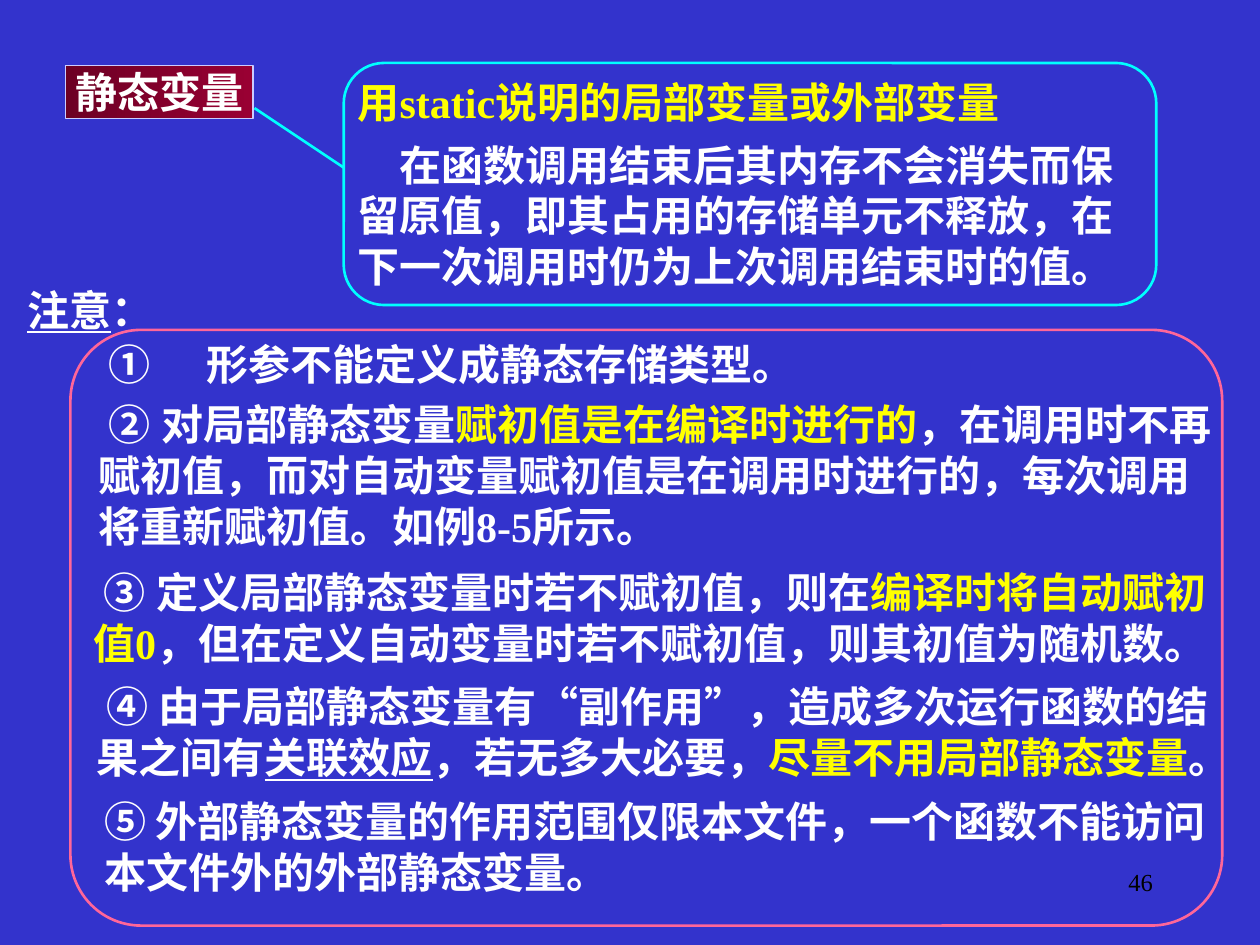
from dataclasses import dataclass

from lxml.etree import SubElement
from pptx import Presentation
from pptx.dml.color import RGBColor
from pptx.enum.shapes import MSO_CONNECTOR as CONN, MSO_SHAPE as SHAPE
from pptx.enum.text import MSO_ANCHOR as ANCHOR, PP_ALIGN as ALIGN
from pptx.oxml.ns import qn
from pptx.util import Cm, Pt

WHITE, YELLOW, CYAN, PINK = "FFFFFF", "FFFF00", "00FFFF", "FF6699"
LATIN, HAN = "Times New Roman", "Noto Sans CJK SC"


@dataclass
class Run:
    text: str
    color: str = WHITE
    underline: bool = False


@dataclass
class Para:
    runs: list[Run]
    indent: float = 0
    tab: float = 0
    before: float = 0


@dataclass
class Note:
    left: float
    top: float
    width: float
    height: float
    paras: list[Para]


def rgb(value: str) -> RGBColor:
    return RGBColor.from_string(value)


def set_font(r, size: float, color: str, bold: bool = True) -> None:
    f = r.font
    f.size, f.bold, f.name = Pt(size), bold, LATIN
    f.color.rgb = rgb(color)
    SubElement(r._r.get_or_add_rPr(), qn("a:ea"), typeface=HAN)


def fill_para(p, para: Para) -> None:
    pPr = p._p.get_or_add_pPr()
    pPr.set("indent", str(Cm(para.indent)))
    if para.tab:
        tabs = SubElement(pPr, qn("a:tabLst"))
        SubElement(tabs, qn("a:tab"), pos=str(Cm(para.tab)), algn="l")
    p.line_spacing = Pt(29)
    if para.before:
        p.space_before = Pt(para.before)
    for run in para.runs:
        r = p.add_run()
        r.text = run.text
        set_font(r, 24, run.color)
        if run.underline:
            r.font.underline = True


def add_note(s, note: Note) -> None:
    sp = s.shapes.add_textbox(Cm(note.left), Cm(note.top), Cm(note.width), Cm(note.height))
    tf = sp.text_frame
    tf.word_wrap = True
    tf.margin_top, tf.margin_right = Cm(0.18), Cm(0.13)
    for i, para in enumerate(note.paras):
        fill_para(tf.add_paragraph() if i else tf.paragraphs[0], para)


def add_frame(s, left: float, top: float, width: float, height: float,
              radius: float, color: str) -> None:
    sp = s.shapes.add_shape(SHAPE.ROUNDED_RECTANGLE, Cm(left), Cm(top), Cm(width), Cm(height))
    sp.adjustments[0] = radius
    sp.shadow.inherit = False
    sp.fill.background()
    sp.line.color.rgb = rgb(color)
    sp.line.width = Pt(1.5)


def add_title(s, text: str) -> None:
    sp = s.shapes.add_shape(SHAPE.RECTANGLE, Cm(1.32), Cm(1.32), Cm(3.78), Cm(1.07))
    sp.shadow.inherit = False
    sp.fill.gradient()
    sp.fill.gradient_angle = 0
    for stop, color, pos in zip(sp.fill.gradient_stops, ("6D0024", "990033"), (0, 1)):
        stop.color.rgb = rgb(color)
        stop.position = pos
    sp.line.color.rgb = rgb("CCCCFF")
    sp.line.width = Pt(0.75)
    tf = sp.text_frame
    tf.word_wrap = False
    tf.vertical_anchor = ANCHOR.MIDDLE
    p = tf.paragraphs[0]
    p.alignment = ALIGN.CENTER
    fill_para(p, Para([Run(text)]))


def add_leader(s, x1: float, y1: float, x2: float, y2: float) -> None:
    cn = s.shapes.add_connector(CONN.STRAIGHT, Cm(x1), Cm(y1), Cm(x2), Cm(y2))
    cn.line.color.rgb = rgb(CYAN)
    cn.line.width = Pt(1.5)
    SubElement(cn._element.spPr, qn("a:effectLst"))


def add_page_number(s, text: str) -> None:
    tf = s.shapes.add_textbox(Cm(18.21), Cm(17.35), Cm(5.28), Cm(1.27)).text_frame
    tf.word_wrap = True
    p = tf.paragraphs[0]
    p.text = text
    p.alignment = ALIGN.RIGHT
    set_font(p.runs[0], 14, "000000", bold=False)


DEFINITION = Note(6.96, 1.35, 15.93, 4.67, [
    Para([Run("用static说明的局部变量或外部变量", YELLOW)]),
    Para([Run("在函数调用结束后其内存不会消失而保留原值，即其占用的存储单元不释放，"
              "在下一次调用时仍为上次调用结束时的值。")], indent=0.85, before=7),
])

NOTES = [
    Note(0.3, 5.54, 2.82, 1.27, [Para([Run("注意", underline=True), Run("：")])]),
    Note(1.37, 6.63, 23.57, 1.27, [
        Para([Run("①\t形参不能定义成静态存储类型。")], indent=0.56, tab=1.82)]),
    Note(1.73, 7.85, 23.09, 3.33, [Para([
        Run("②\t对局部静态变量"),
        Run("赋初值是在编译时进行的", YELLOW),
        Run("，在调用时不再赋初值，而对自动变量赋初值是在调用时进行的，"
            "每次调用将重新赋初值。如例8-5所示。"),
    ], indent=0.2, tab=1.42)]),
    Note(1.63, 11.23, 23.19, 2.31, [Para([
        Run("③\t定义局部静态变量时若不赋初值，则在"),
        Run("编译时将自动赋初值0", YELLOW),
        Run("，但在定义自动变量时若不赋初值，则其初值为随机数。"),
    ], indent=0.2, tab=1.42)]),
    Note(1.7, 13.54, 23.06, 2.31, [Para([
        Run("④ 由于局部静态变量有“副作用”，造成多次运行函数的结果之间有"),
        Run("关联效应", underline=True),
        Run("，若无多大必要，"),
        Run("尽量不用局部静态变量", YELLOW),
        Run("。"),
    ], indent=0.2)]),
    Note(1.85, 15.85, 22.73, 2.31, [
        Para([Run("⑤ 外部静态变量的作用范围仅限本文件，一个函数不能访问本文件外的外部静态变量。")])]),
]


def main() -> None:
    prs = Presentation()
    prs.slide_width, prs.slide_height = Cm(25.4), Cm(19.05)
    s = prs.slides.add_slide(prs.slide_layouts[6])
    s.background.fill.solid()
    s.background.fill.fore_color.rgb = rgb("3333CC")

    # Term and its definition
    add_title(s, "静态变量")
    add_frame(s, 6.93, 1.27, 16.38, 4.88, 0.167, CYAN)
    add_note(s, DEFINITION)
    add_leader(s, 5.13, 2.18, 6.93, 3.38)

    # Points to note
    add_frame(s, 1.42, 6.65, 23.22, 12.01, 0.119, PINK)
    for note in NOTES:
        add_note(s, note)

    add_page_number(s, "46")
    prs.save("out.pptx")


if __name__ == "__main__":
    main()
